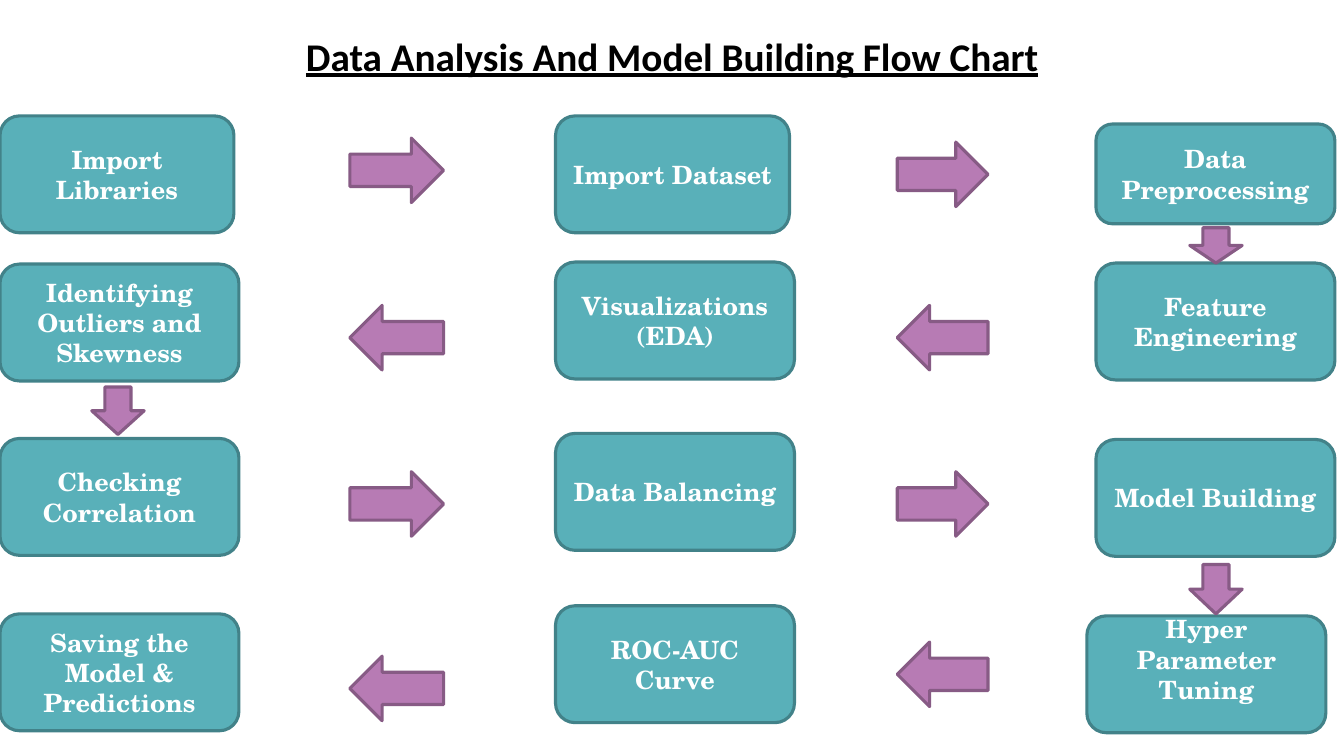
"""Build the data analysis and model building flow chart slide."""
from pptx import Presentation
from pptx import util as u
from pptx.dml.color import RGBColor
from pptx.enum import shapes, text

WIDTH, HEIGHT = 13.33, 7.5
TITLE = "Data Analysis And Model Building Flow Chart"
COLUMN_LEFTS = (0, 5.51, 10.87)
STEP_SIZE = (2.37, 1.16)
STEPS = [
    [("Import Libraries", 1.15), ("Import Dataset", 1.15), ("Data Preprocessing", 1.23)],
    [("Identifying Outliers and Skewness", 2.62), ("Visualizations\n(EDA)", 2.6),
     ("Feature Engineering", 2.61)],
    [("Checking Correlation", 4.35), ("Data Balancing", 4.3), ("Model Building", 4.36)],
    [("Saving the Model & Predictions", 6.09), ("ROC-AUC Curve", 6.01),
     ("Hyper Parameter Tuning", 6.11)],
]
ADJUSTED_SIZES = {
    "Import Libraries": (2.32, 1.16),
    "Import Dataset": (2.32, 1.16),
    "Data Preprocessing": (2.37, 0.99),
}
SHIFTED_LEFTS = {"Hyper Parameter Tuning": 10.78}
BOTTOM_INSETS = {"Hyper Parameter Tuning": 0.35}
ARROW_LEFTS, ARROW_WIDTHS, ARROW_HEIGHT = (3.47, 8.9), (0.93, 0.9), 0.64
ARROW_TOPS = [(1.37, 1.41), (3.03, 3.03), (4.68, 4.68), (6.51, 6.37)]
DOWN_ARROWS = [(11.8, 2.26, 0.35), (0.91, 3.84, 0.47), (11.8, 5.6, 0.49)]
DOWN_WIDTH = 0.52
TEAL, DARK_TEAL = "59B0B9", "428289"
PURPLE, DARK_PURPLE = "B77BB4", "875B85"


def color(value):
    return RGBColor.from_string(value)


def write(frame, content, font_name, size, font_color, underline=False):
    frame.word_wrap = True
    for index, line in enumerate(content.split("\n")):
        paragraph = frame.add_paragraph() if index else frame.paragraphs[0]
        paragraph.alignment = text.PP_ALIGN.CENTER
        run = paragraph.add_run()
        run.text = line
        run.font.name, run.font.size = font_name, u.Pt(size)
        run.font.bold, run.font.underline = True, underline
        run.font.color.rgb = color(font_color)


def add_block(slide, kind, box, fill, outline):
    shape = slide.shapes.add_shape(kind, *(u.Inches(length) for length in box))
    shape.shadow.inherit = False
    shape.fill.solid()
    shape.fill.fore_color.rgb = color(fill)
    shape.line.color.rgb = color(outline)
    shape.line.width = u.Pt(2.25)
    return shape


def add_step(slide, label, left, top):
    box = (SHIFTED_LEFTS.get(label, left), top, *ADJUSTED_SIZES.get(label, STEP_SIZE))
    kind = shapes.MSO_SHAPE.FLOWCHART_ALTERNATE_PROCESS
    frame = add_block(slide, kind, box, TEAL, DARK_TEAL).text_frame
    frame.vertical_anchor = text.MSO_ANCHOR.MIDDLE
    frame.margin_bottom = u.Inches(BOTTOM_INSETS.get(label, 0.05))
    write(frame, label, "TeX Gyre Schola", 18, "FFFFFF")


def main():
    presentation = Presentation()
    presentation.slide_width, presentation.slide_height = u.Inches(WIDTH), u.Inches(HEIGHT)
    slide = presentation.slides.add_slide(presentation.slide_layouts[6])
    title = slide.shapes.add_textbox(0, u.Inches(0.27), u.Inches(WIDTH), u.Inches(0.57))
    write(title.text_frame, TITLE, "Calibri", 28, "000000", underline=True)

    directions = (shapes.MSO_SHAPE.RIGHT_ARROW, shapes.MSO_SHAPE.LEFT_ARROW)
    for row, (steps, arrow_tops) in enumerate(zip(STEPS, ARROW_TOPS)):
        for left, (label, top) in zip(COLUMN_LEFTS, steps):
            add_step(slide, label, left, top)
        for left, width, top in zip(ARROW_LEFTS, ARROW_WIDTHS, arrow_tops):
            box = (left, top, width, ARROW_HEIGHT)
            add_block(slide, directions[row % 2], box, PURPLE, DARK_PURPLE)
    for left, top, height in DOWN_ARROWS:
        box = (left, top, DOWN_WIDTH, height)
        add_block(slide, shapes.MSO_SHAPE.DOWN_ARROW, box, PURPLE, DARK_PURPLE)
    presentation.save("out.pptx")


if __name__ == "__main__":
    main()
